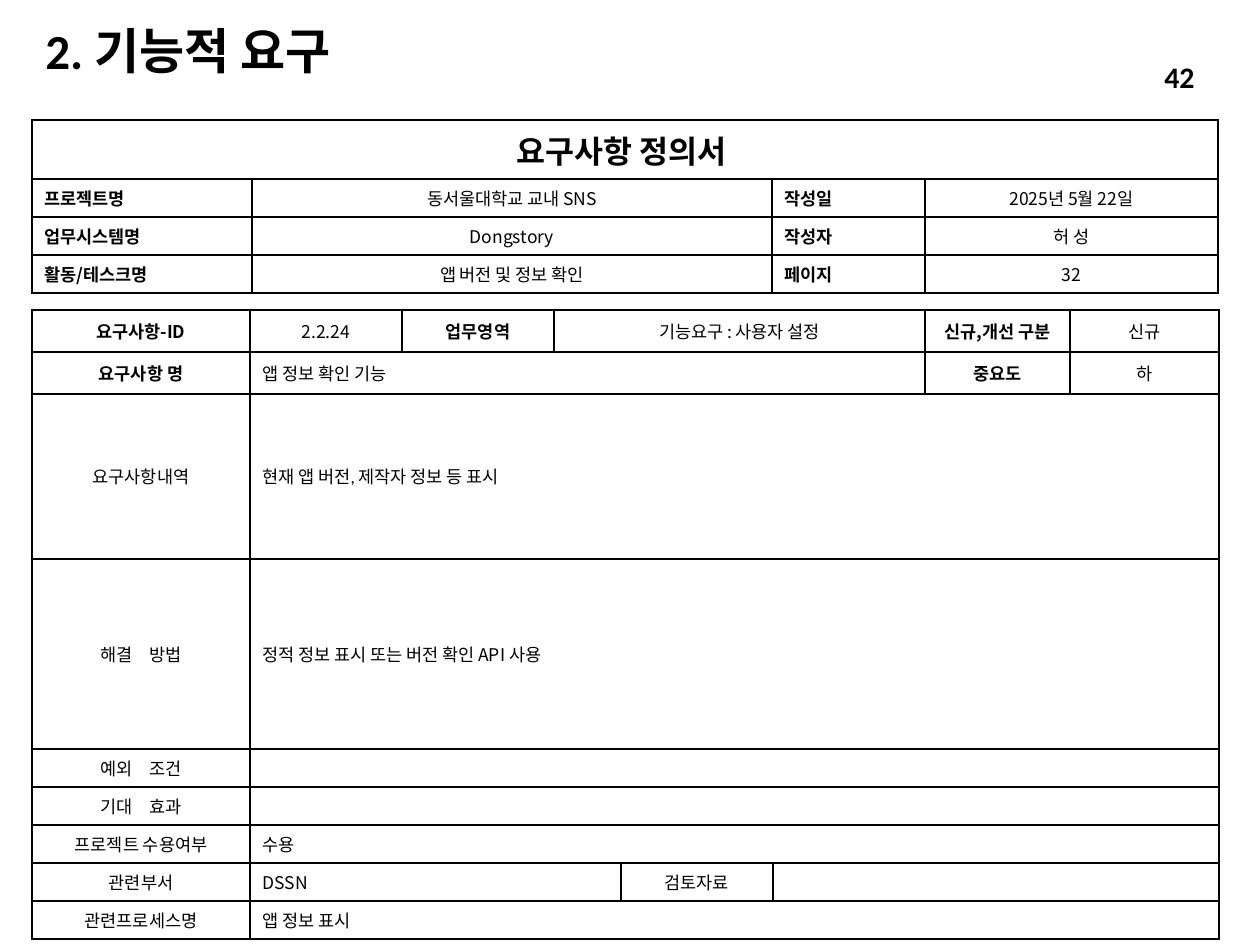
import copy

import lxml.etree
import pptx
import pptx.dml.color
import pptx.enum.text
import pptx.oxml.ns
import pptx.util

COLOURS = {"ink": "000000"}
KOREAN = "Noto Sans CJK KR"
LATIN = "Calibri"
ALIGN = pptx.enum.text.PP_ALIGN
ANCHOR = pptx.enum.text.MSO_ANCHOR
qn = pptx.oxml.ns.qn


def px(length):
    return pptx.util.Emu(round(length * 914400 / 126))


def write(paragraph, text, size, bold=False, align=ALIGN.LEFT, face=KOREAN):
    if text:
        paragraph.add_run().text = text
    paragraph.alignment = align
    font = paragraph.font
    font.size = pptx.util.Pt(size)
    font.bold = bold
    font.name = face
    font.color.rgb = pptx.dml.color.RGBColor.from_string(COLOURS["ink"])
    defaults = paragraph._p.get_or_add_pPr().find(qn("a:defRPr"))
    lxml.etree.SubElement(defaults, qn("a:ea")).set("typeface", KOREAN)
    if not text:
        ending = copy.deepcopy(defaults)
        ending.tag = qn("a:endParaRPr")
        paragraph._p.append(ending)


def add_label(slide, box, text, size, align):
    shape = slide.shapes.add_textbox(*map(px, box))
    frame = shape.text_frame
    frame.word_wrap = True
    frame.vertical_anchor = ANCHOR.MIDDLE
    write(frame.paragraphs[0], text, size, True, align, LATIN)
    return frame.paragraphs[0]


def set_borders(cell, widths):
    properties = cell._tc.get_or_add_tcPr()
    for position, (side, points) in enumerate(widths.items()):
        line = lxml.etree.Element(qn(f"a:ln{side}"), w=str(pptx.util.Pt(points)))
        fill = lxml.etree.SubElement(line, qn("a:solidFill"))
        lxml.etree.SubElement(fill, qn("a:srgbClr"), val=COLOURS["ink"])
        properties.insert(position, line)


def add_form(slide, left, top, widths, heights, rows, anchor, heavy_rules):
    frame = slide.shapes.add_table(
        len(heights), len(widths), px(left), px(top), px(sum(widths)), px(sum(heights))
    )
    table = frame.table
    table.first_row = table.horz_banding = False
    for column, width in zip(table.columns, widths):
        column.width = px(width)
    for row, height in zip(table.rows, heights):
        row.height = px(height)
    for index, entries in enumerate(rows):
        start = 0
        for span, text, style in entries:
            end = start + span
            borders = {
                "L": 1.5 if start == 0 else 1,
                "R": 1.5 if end == len(widths) else 1,
                "T": 1.5 if index in heavy_rules else 1,
                "B": 1.5 if index + 1 in heavy_rules else 1,
            }
            for column in range(start, end):
                cell = table.cell(index, column)
                cell.fill.background()
                cell.vertical_anchor = anchor
                set_borders(cell, borders)
                content = text if column == start else ""
                write(cell.text_frame.paragraphs[0], content, **style)
            if span > 1:
                table.cell(index, start).merge(table.cell(index, end - 1))
            start = end
    return table


def add_project_form(slide, left, top):
    heading = dict(size=18, bold=True, align=ALIGN.CENTER)
    label = dict(size=10, bold=True, align=ALIGN.JUSTIFY)
    value = dict(size=10, align=ALIGN.CENTER)
    details = [
        ("프로젝트명", "동서울대학교 교내 SNS", "작성일", "2025년 5월 22일"),
        ("업무시스템명", "Dongstory", "작성자", "허 성"),
        ("활동/테스크명", "앱 버전 및 정보 확인", "페이지", "32"),
    ]
    rows = [[(4, "요구사항 정의서 ", heading)]]
    for detail in details:
        rows.append([(1, text, style) for text, style in zip(detail, (label, value) * 2)])
    table = add_form(
        slide, left, top, [220, 520, 153, 293], [59, 38, 38, 38], rows, ANCHOR.TOP, {0, 4}
    )
    table.cell(0, 0).vertical_anchor = ANCHOR.MIDDLE


def add_requirement_form(slide, left, top):
    label = dict(size=10, bold=True, align=ALIGN.CENTER)
    centred = dict(size=10, align=ALIGN.CENTER)
    plain = dict(size=10)
    latin = dict(size=10, face=LATIN)
    rows = [
        [
            (1, "요구사항-ID", label),
            (1, "2.2.24", centred),
            (1, "업무영역", label),
            (3, "기능요구 : 사용자 설정", centred),
            (1, "신규,개선 구분", label),
            (1, "신규", centred),
        ],
        [
            (1, "요구사항 명", label),
            (5, "앱 정보 확인 기능", plain),
            (1, "중요도", label),
            (1, "하", centred),
        ],
        [(1, "요구사항내역", centred), (7, "현재 앱 버전, 제작자 정보 등 표시", latin)],
        [(1, "해결　방법", centred), (7, "정적 정보 표시 또는 버전 확인 API 사용", plain)],
        [(1, "예외　조건", centred), (7, "", plain)],
        [(1, "기대　효과", centred), (7, "", plain)],
        [(1, "프로젝트 수용여부", centred), (7, "수용", plain)],
        [
            (1, "관련부서", centred),
            (3, "DSSN", plain),
            (1, "검토자료", centred),
            (3, "", plain),
        ],
        [(1, "관련프로세스명", centred), (7, "앱 정보 표시", plain)],
    ]
    widths = [218, 152, 152, 67, 152, 152, 145, 149]
    heights = [42, 42, 165, 190] + [38] * 5
    add_form(slide, left, top, widths, heights, rows, ANCHOR.MIDDLE, {0, 1, 2, 9})


def main():
    presentation = pptx.Presentation()
    presentation.slide_width = px(1260)
    presentation.slide_height = px(945)
    slide = presentation.slides.add_slide(presentation.slide_layouts[6])
    title = add_label(slide, (33, 26, 675, 55), "2. 기능적 요구", 28, ALIGN.LEFT)
    title.line_spacing = 0.9
    add_requirement_form(slide, 32, 310)
    add_project_form(slide, 32, 120)
    add_label(slide, (1003, 52, 204, 50), "42", 17, ALIGN.RIGHT)
    presentation.save("out.pptx")


if __name__ == "__main__":
    main()
